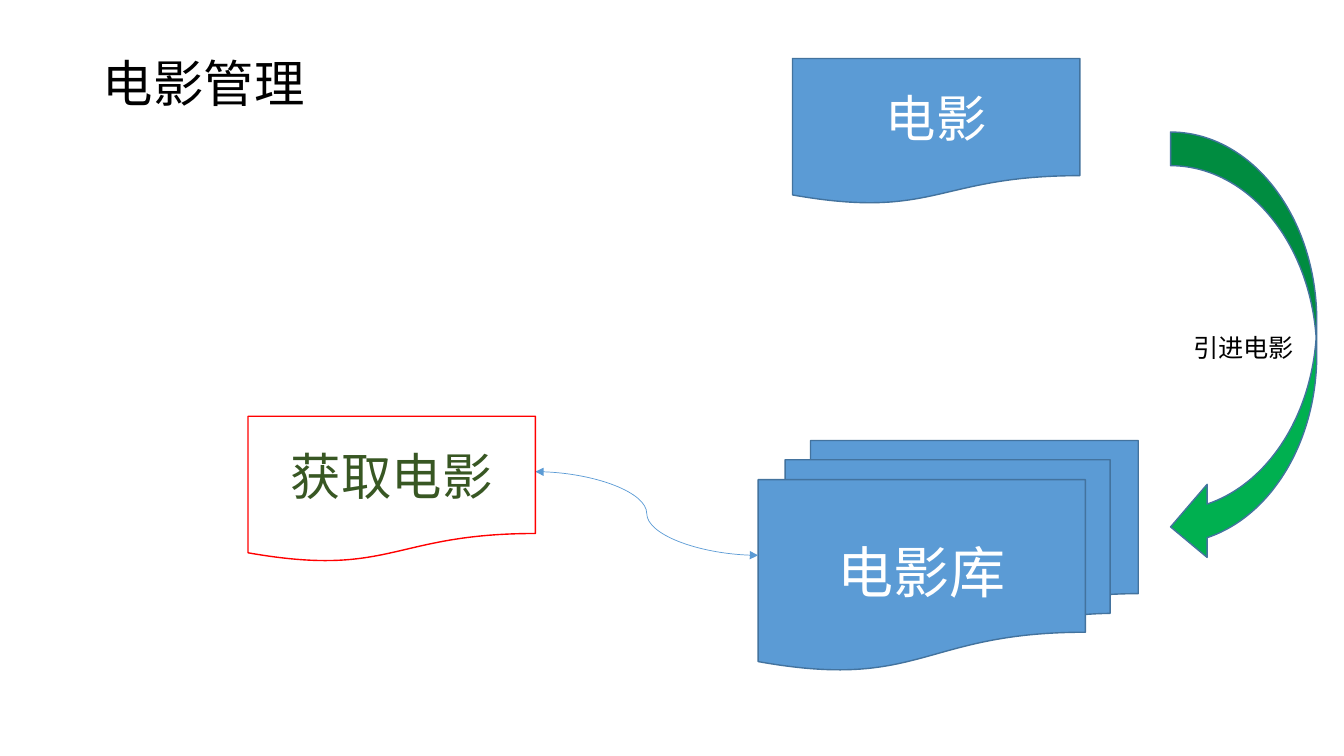
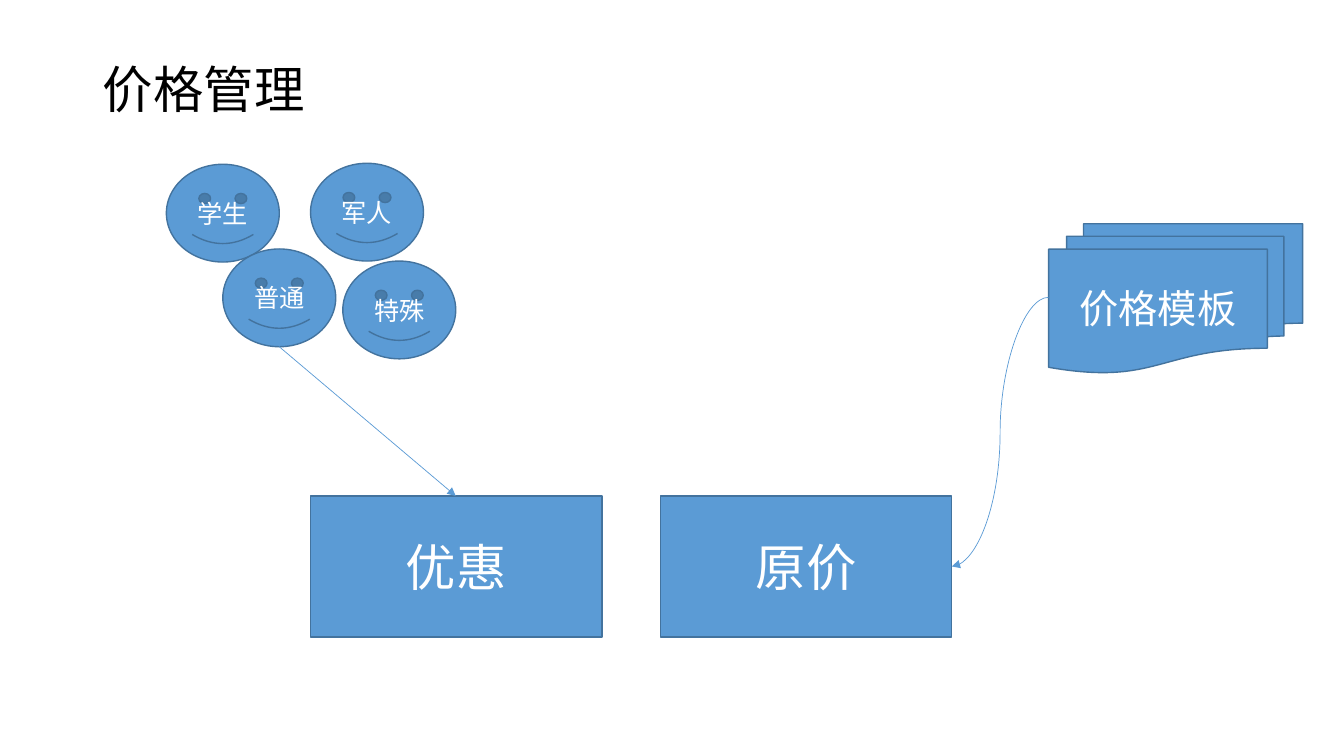
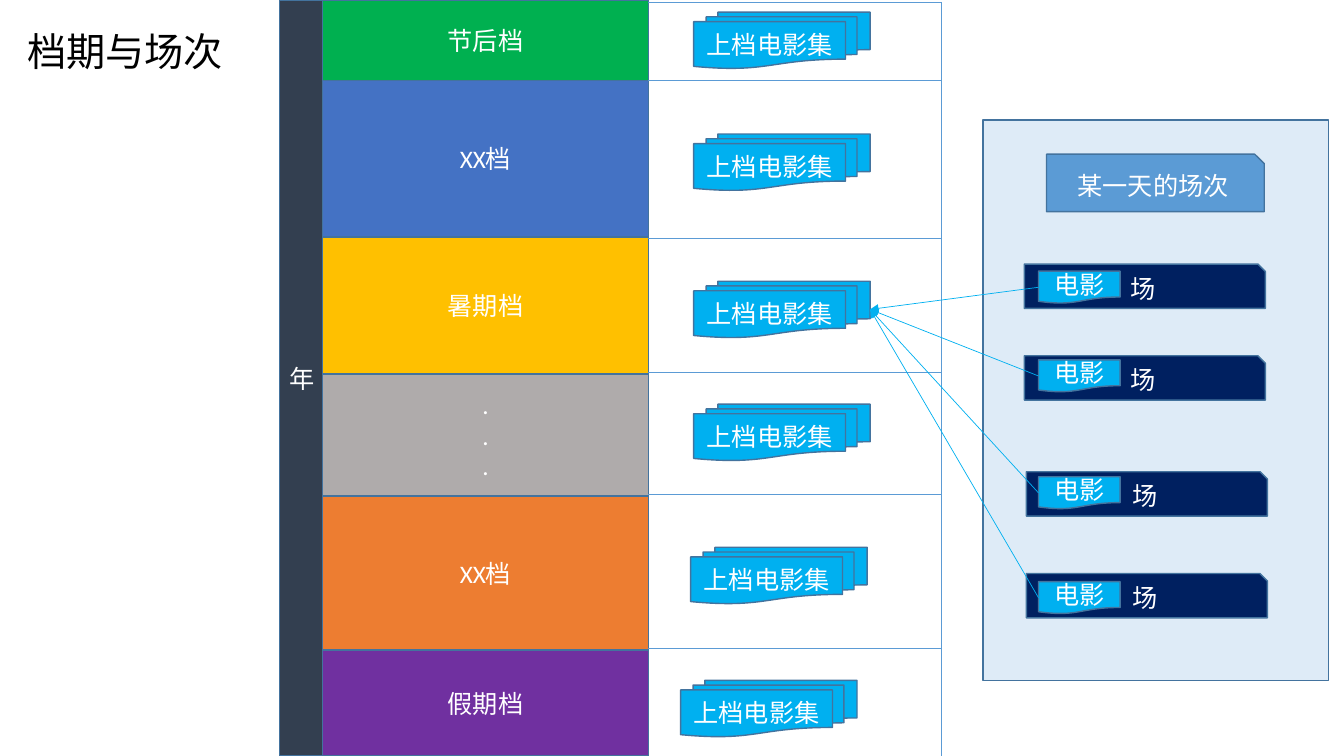
from lxml import etree
from pptx import Presentation
from pptx.dml.color import RGBColor
from pptx.enum.shapes import MSO_CONNECTOR, MSO_SHAPE
from pptx.enum.text import MSO_ANCHOR, MSO_AUTO_SIZE, PP_ALIGN
from pptx.oxml.ns import qn
from pptx.util import Pt

PX = 9144  # 100 px to the inch
FONT = "Calibri"
COLORS = {
    "black": "000000", "white": "FFFFFF", "blue": "5B9BD5", "outline": "43739E",
    "green": "00B050", "dark green": "385723", "red": "FF0000", "sky": "00B0F0",
    "navy": "002060", "pale blue": "DEEBF7", "slate": "333F50", "royal": "4472C4",
    "yellow": "FFC000", "gray": "AFABAB", "orange": "ED7D31", "purple": "7030A0",
}
RECTANGLE = MSO_SHAPE.RECTANGLE
DOCUMENT = MSO_SHAPE.FLOWCHART_DOCUMENT
DOCUMENT_STACK = MSO_SHAPE.FLOWCHART_MULTIDOCUMENT
SMILEY = MSO_SHAPE.SMILEY_FACE
SNIPPED = MSO_SHAPE.SNIP_1_RECTANGLE
CURVED_ARROW = MSO_SHAPE.CURVED_LEFT_ARROW
STRAIGHT = MSO_CONNECTOR.STRAIGHT
CURVE = MSO_CONNECTOR.CURVE


def add_node(shapes, kind, box, text="", size=18, fill="blue", line="outline", color="white"):
    """Add a filled preset shape; each line of text becomes a centred paragraph."""
    shape = shapes.add_shape(kind, *[value * PX for value in box])
    shape.shadow.inherit = False
    shape.fill.solid()
    shape.fill.fore_color.rgb = RGBColor.from_string(COLORS[fill])
    shape.line.color.rgb = RGBColor.from_string(COLORS[line])
    shape.line.width = Pt(1)
    frame = shape.text_frame
    frame.word_wrap = True
    frame.vertical_anchor = MSO_ANCHOR.MIDDLE
    for index, words in enumerate(text.splitlines()):
        paragraph = frame.add_paragraph() if index else frame.paragraphs[0]
        paragraph.alignment = PP_ALIGN.CENTER
        run = paragraph.add_run()
        run.text = words
        run.font.name = FONT
        run.font.size = Pt(size)
        run.font.color.rgb = RGBColor.from_string(COLORS[color])
    return shape


def add_link(slide, start, end, kind=STRAIGHT, color="blue", arrows=("tailEnd",)):
    """Add a thin connector; arrows names the ends that carry a triangle."""
    points = [value * PX for value in (*start, *end)]
    connector = slide.shapes.add_connector(kind, *points)
    connector.line.color.rgb = RGBColor.from_string(COLORS[color])
    connector.line.width = Pt(0.5)
    properties = connector.element.spPr
    outline = properties.find(qn("a:ln"))
    for arrow in arrows:
        etree.SubElement(outline, qn("a:" + arrow), type="triangle")
    etree.SubElement(properties, qn("a:effectLst"))


presentation = Presentation()
presentation.slide_width = 1333 * PX
presentation.slide_height = 750 * PX
title_only = presentation.slide_layouts[5]

slides = []
for words, size, box in [
    ("电影管理", 36, (92, 40, 242, 92)),
    ("价格管理", 36, (92, 40, 231, 102)),
    ("档期与场次", 28, (17, 26, 233, 55)),
]:
    slide = presentation.slides.add_slide(title_only)
    title = slide.shapes.title
    title.left, title.top, title.width, title.height = [value * PX for value in box]
    title.text_frame.auto_size = MSO_AUTO_SIZE.NONE
    title.text_frame.vertical_anchor = MSO_ANCHOR.MIDDLE
    paragraph = title.text_frame.paragraphs[0]
    paragraph.alignment = PP_ALIGN.LEFT
    paragraph.line_spacing = 0.9
    run = paragraph.add_run()
    run.text = words
    run.font.name = FONT
    run.font.size = Pt(size)
    run.font.color.rgb = RGBColor.from_string(COLORS["black"])
    slides.append(slide)
movie_slide, price_slide, schedule_slide = slides

# Movie management
shapes = movie_slide.shapes
add_node(shapes, DOCUMENT_STACK, (752, 437, 377, 228), "电影库", 40)
add_node(shapes, DOCUMENT, (786, 58, 285, 145), "电影", 36)
import_arrow = add_node(shapes, CURVED_ARROW, (1161, 131, 145, 428), "引进电影",
                        fill="green", color="black")
for index, value in enumerate((0.23, 0.5, 0.25)):
    import_arrow.adjustments[index] = value
add_link(movie_slide, (752, 551), (531, 468), CURVE, arrows=("headEnd", "tailEnd"))
add_node(shapes, DOCUMENT, (246, 413, 285, 145), "获取电影", 36, "white", "red", "dark green")

# Price management
shapes = price_slide.shapes
add_node(shapes, DOCUMENT_STACK, (1040, 222, 252, 148), "价格模板", 28)
for left, words in [(655, "原价"), (308, "优惠")]:
    add_node(shapes, RECTANGLE, (left, 492, 289, 140), words, 36)
for left, top, words in [(165, 163, "学生"), (308, 162, "军人"),
                         (340, 259, "特殊"), (221, 247, "普通")]:
    add_node(shapes, SMILEY, (left, top, 112, 97), words)
add_link(price_slide, (1040, 295), (944, 562), CURVE)
add_link(price_slide, (277, 344), (452, 492))

# Periods of the year
shapes = schedule_slide.shapes
add_node(shapes, RECTANGLE, (277, 0, 43, 750), "年", fill="slate")
period_top = 0
for height, words, fill in [
    (80, "节后档", "green"),
    (155, "XX档", "royal"),
    (136, "暑期档", "yellow"),
    (121, ".\n.\n.", "gray"),
    (153, "XX档", "orange"),
    (105, "假期档", "purple"),
]:
    add_node(shapes, RECTANGLE, (320, period_top, 323, height), words, fill=fill)
    period_top += height

for y in (2, 80, 236, 369, 490, 643):
    add_link(schedule_slide, (643, y), (933, y), arrows=())
add_link(schedule_slide, (934, 2), (934, 750), arrows=())
for left, top in [(688, 12), (688, 133), (688, 279), (688, 401), (685, 543), (675, 675)]:
    add_node(shapes, DOCUMENT_STACK, (left, top, 175, 56), "上档电影集", fill="sky")

# Sessions of one day
day_group = shapes.add_group_shape()
add_node(day_group.shapes, RECTANGLE, (975, 119, 343, 556), fill="pale blue")
add_node(day_group.shapes, SNIPPED, (1038, 153, 216, 57), "某一天的场次")
for left, session_top, movie_top in [(1016, 262, 269), (1016, 353, 357),
                                     (1018, 468, 473), (1018, 569, 577)]:
    add_node(shapes, SNIPPED, (left, session_top, 239, 44), "场", fill="navy")
    add_node(shapes, DOCUMENT, (1030, movie_top, 81, 32), "电影", fill="sky")
    add_link(schedule_slide, (1030, movie_top + 16), (863, 307), color="sky")

presentation.save("out.pptx")
